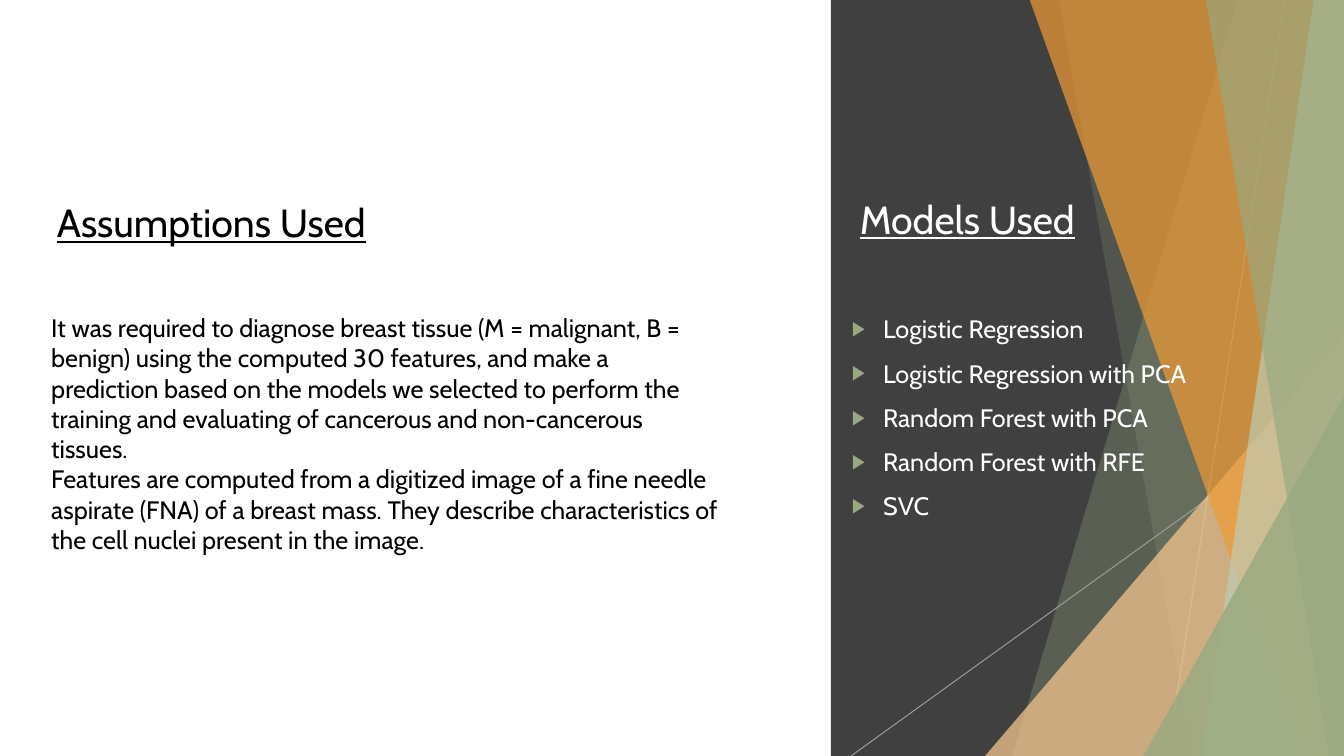
from lxml.etree import SubElement
from pptx import Presentation
from pptx.dml.color import RGBColor
from pptx.enum.shapes import MSO_CONNECTOR, MSO_SHAPE
from pptx.enum.text import MSO_ANCHOR, MSO_AUTO_SIZE, PP_ALIGN
from pptx.oxml.ns import qn
from pptx.util import Inches, Pt

WIDTH, HEIGHT = 13.33, 7.5
TOP = -0.01
FONT = "Cabin"
SAGE, PALE_SAGE, ORANGE, PEACH = "98A981", "C1CBB3", "F09B35", "F7C890"
CHARCOAL, GREY, WHITE, BLACK = "404040", "BFBFBF", "FFFFFF", "000000"

MODELS = [
    "Logistic Regression",
    "Logistic Regression with PCA",
    "Random Forest with PCA",
    "Random Forest with RFE",
    "SVC",
]
ASSUMPTIONS = [
    "It was required to diagnose breast tissue (M = malignant, B = benign) using the "
    "computed 30 features, and make a prediction based on the models we selected to "
    "perform the training and evaluating of cancerous and non-cancerous tissues.",
    "Features are computed from a digitized image of a fine needle aspirate (FNA) of a "
    "breast mass. They describe characteristics of the cell nuclei present in the image.",
]


def color(value):
    return RGBColor.from_string(value)


def set_opacity(shape, percent):
    for node in shape.element.xpath("./p:spPr//a:srgbClr"):
        SubElement(node, qn("a:alpha"), val=str(percent * 1000))


def paint(shape, fill, opacity=100):
    shape.shadow.inherit = False
    shape.fill.solid()
    shape.fill.fore_color.rgb = color(fill)
    shape.line.fill.background()
    if opacity < 100:
        set_opacity(shape, opacity)


def add_panel(page, left, fill):
    panel = page.shapes.add_shape(
        MSO_SHAPE.RECTANGLE, Inches(left), 0, Inches(WIDTH - left), Inches(HEIGHT))
    paint(panel, fill)


def add_band(page, top_left, bottom_left, bottom_right, fill, opacity):
    """Slanted band that reaches the right edge of the slide at the top."""
    builder = page.shapes.build_freeform(Inches(top_left), Inches(TOP))
    corners = [(WIDTH, TOP), (bottom_right, HEIGHT), (bottom_left, HEIGHT)]
    builder.add_line_segments([(Inches(x), Inches(y)) for x, y in corners], close=True)
    paint(builder.convert_to_shape(), fill, opacity)


def add_corner(page, left, top, fill, opacity):
    """Right triangle that fills the bottom right corner."""
    corner = page.shapes.add_shape(
        MSO_SHAPE.ISOSCELES_TRIANGLE, Inches(left), Inches(top),
        Inches(WIDTH - left), Inches(HEIGHT - top))
    corner.adjustments[0] = 1
    paint(corner, fill, opacity)


def add_thin_line(page, start, end):
    line = page.shapes.add_connector(
        MSO_CONNECTOR.STRAIGHT, *[Inches(value) for value in start + end])
    line.line.width = Pt(0.75)
    line.line.color.rgb = color(GREY)
    set_opacity(line, 70)
    SubElement(line.element.spPr, qn("a:effectLst"))


def add_bullet(para):
    properties = para._p.get_or_add_pPr()
    properties.set("marL", str(Inches(0.31)))
    properties.set("indent", str(-Inches(0.31)))
    bullet_color = SubElement(properties, qn("a:buClr"))
    SubElement(bullet_color, qn("a:srgbClr"), val=SAGE)
    SubElement(properties, qn("a:buSzPct"), val="80000")
    SubElement(properties, qn("a:buFont"), typeface="Arial")
    SubElement(properties, qn("a:buChar"), char="▶")


def add_text(page, place, lines, size, ink, frame_format, para_format,
             underline=False, bullets=False):
    box = page.shapes.add_textbox(*[Inches(value) for value in place])
    frame = box.text_frame
    for name, value in {"word_wrap": True, **frame_format}.items():
        setattr(frame, name, value)
    font_format = {"name": FONT, "size": Pt(size), "underline": underline}
    for index, line in enumerate(lines):
        para = frame.add_paragraph() if index else frame.paragraphs[0]
        for name, value in para_format.items():
            setattr(para, name, value)
        if bullets:
            add_bullet(para)
        span = para.add_run()
        span.text = line
        for name, value in font_format.items():
            setattr(span.font, name, value)
        span.font.color.rgb = color(ink)


def main():
    deck = Presentation()
    deck.slide_width, deck.slide_height = Inches(WIDTH), Inches(HEIGHT)
    page = deck.slides.add_slide(deck.slide_layouts[6])

    # Dark panel with its slanted decoration
    add_panel(page, 8.24, CHARCOAL)
    add_thin_line(page, (12.74, 0), (11.58, HEIGHT))
    add_thin_line(page, (13.2, 4.07), (8.44, HEIGHT))
    add_band(page, 12.28, 10.04, WIDTH, SAGE, 30)
    add_band(page, 10.5, 11.83, WIDTH, SAGE, 20)
    add_corner(page, 9.77, 3.33, PEACH, 72)
    add_band(page, 10.21, 12.91, WIDTH, ORANGE, 70)
    add_band(page, 13.03, 11.92, WIDTH, PALE_SAGE, 70)
    add_band(page, 11.96, 13.18, WIDTH, SAGE, 65)
    add_corner(page, 11.34, 3.93, SAGE, 80)

    # Models on the right
    middle = {"vertical_anchor": MSO_ANCHOR.MIDDLE}
    add_text(page, (8.43, 1.72, 2.69, 0.9), ["Models Used"], 28, WHITE,
             middle, {"space_after": Pt(6)}, underline=True)
    add_text(page, (8.35, 2.86, 3.79, 2.56), MODELS, 18, WHITE,
             middle, {"space_before": Pt(10)}, bullets=True)

    # Assumptions on the left
    growing = {"auto_size": MSO_AUTO_SIZE.SHAPE_TO_FIT_TEXT}
    add_text(page, (0.19, 1.92, 3.81, 0.57), ["Assumptions Used"], 28, BLACK,
             growing, {"alignment": PP_ALIGN.CENTER}, underline=True)
    add_text(page, (0.41, 3.05, 6.81, 2.52), ASSUMPTIONS, 18, BLACK, growing, {})

    deck.save("out.pptx")


if __name__ == "__main__":
    main()
